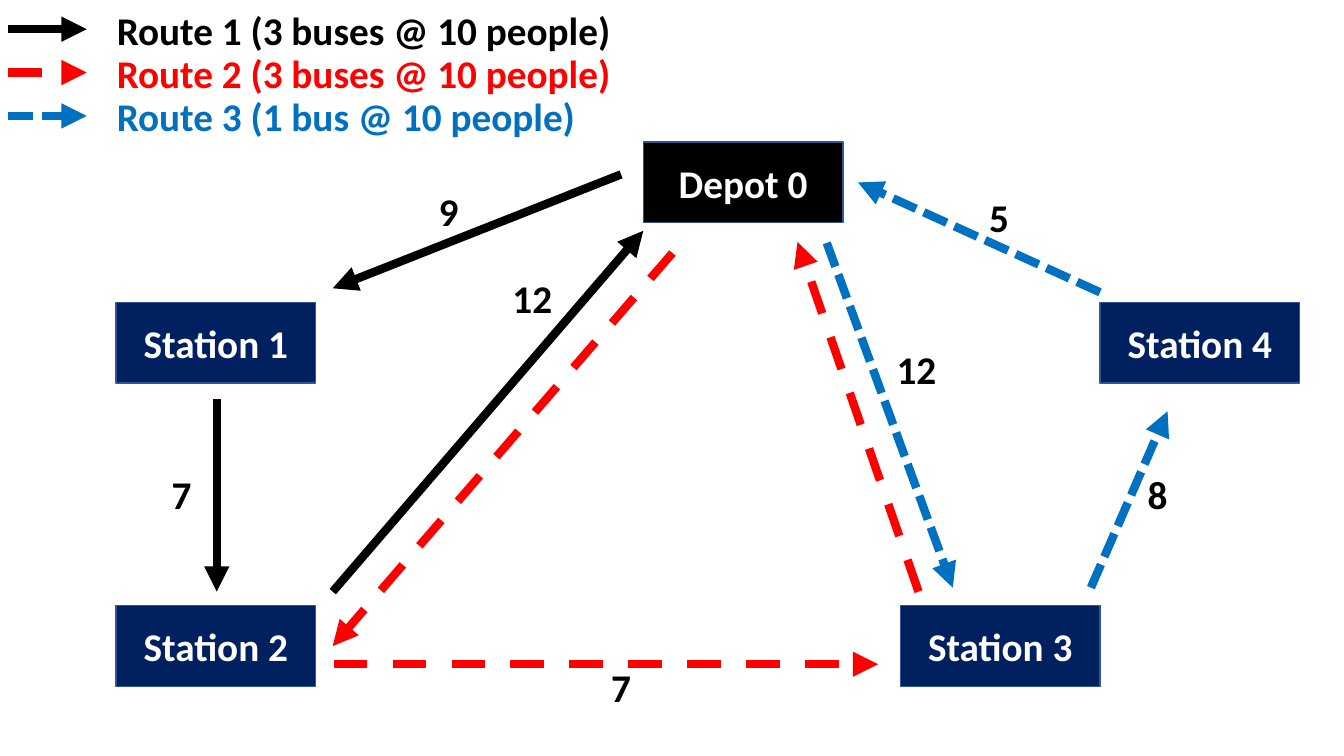
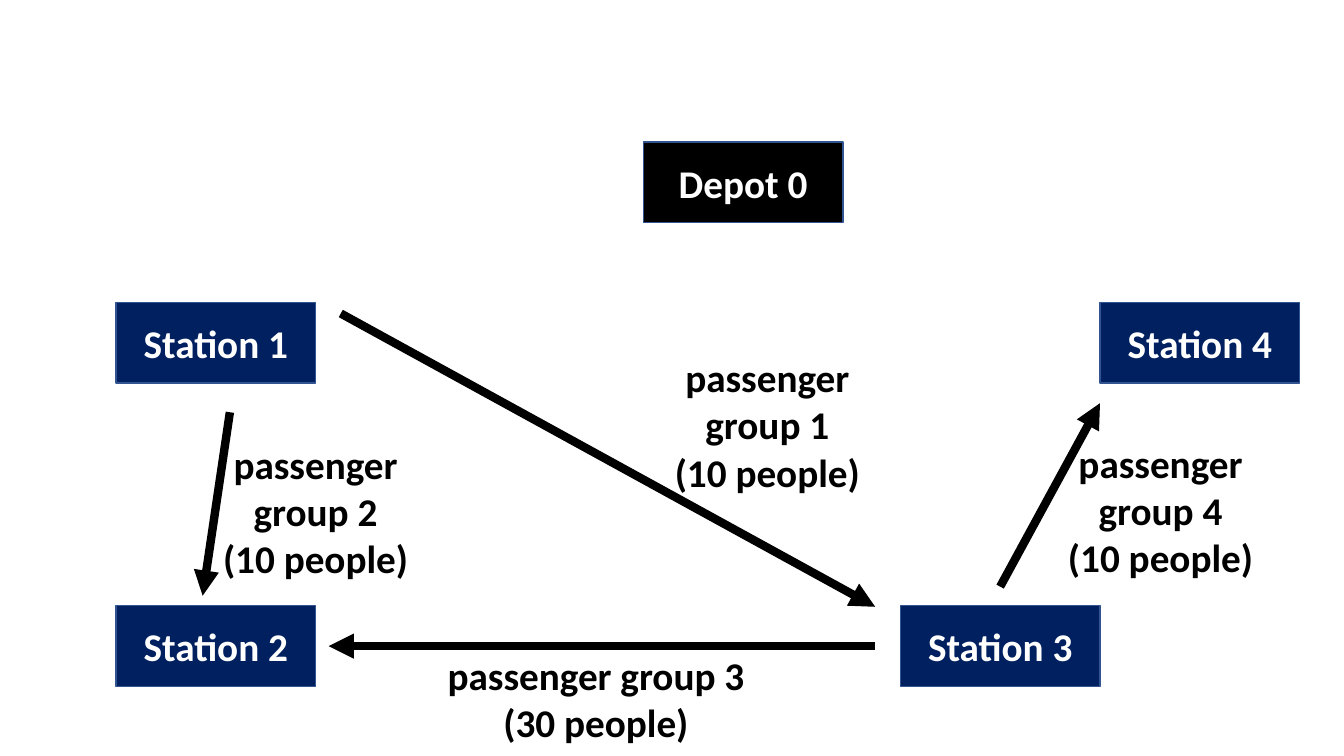
import dataclasses

import lxml.etree
import pptx
import pptx.dml.color
import pptx.enum.dml
import pptx.enum.shapes
import pptx.enum.text
import pptx.oxml.ns
import pptx.util

Inches = pptx.util.Inches
DASH = pptx.enum.dml.MSO_LINE
ALIGN = pptx.enum.text.PP_ALIGN
ANCHOR = pptx.enum.text.MSO_ANCHOR
AUTO_SIZE = pptx.enum.text.MSO_AUTO_SIZE


@dataclasses.dataclass(frozen=True)
class Theme:
    black: str = "000000"
    white: str = "FFFFFF"
    navy: str = "002060"
    red: str = "FF0000"
    blue: str = "0070C0"
    outline: str = "325491"
    font: str = "Calibri"
    text_size: float = 28
    route_width: float = 6
    outline_width: float = 1


THEME = Theme()

STOP_SIZE = (1.98, 0.8)
STOPS = [
    ("Station 1", 1.15, 3, THEME.navy),
    ("Station 2", 1.15, 6.01, THEME.navy),
    ("Depot 0", 6.38, 1.41, THEME.black),
    ("Station 4", 10.91, 3, THEME.navy),
    ("Station 3", 8.93, 6.01, THEME.navy),
]

LEGEND_PITCH = 0.43
ROUTES = [
    {
        "title": "Route 1 (3 buses @ 10 people)",
        "color": THEME.black,
        "dash": None,
        "legs": [
            ((6.16, 1.73), (3.3, 2.86)),
            ((2.15, 3.96), (2.15, 5.87)),
            ((3.3, 5.87), (6.38, 2.29)),
        ],
    },
    {
        "title": "Route 2 (3 buses @ 10 people)",
        "color": THEME.red,
        "dash": DASH.DASH,
        "legs": [
            ((6.67, 2.51), (3.3, 6.41)),
            ((3.31, 6.59), (8.71, 6.59)),
            ((9.11, 5.87), (7.91, 2.4)),
        ],
    },
    {
        "title": "Route 3 (1 bus @ 10 people)",
        "color": THEME.blue,
        "dash": DASH.SQUARE_DOT,
        "legs": [
            ((8.2, 2.41), (9.45, 5.83)),
            ((10.82, 5.83), (11.58, 4.08)),
            ((10.91, 2.9), (8.51, 1.81)),
        ],
    },
]

DISTANCES = [
    ("9", 4.25, 1.81),
    ("7", 1.6, 4.62),
    ("12", 4.98, 2.67),
    ("7", 5.96, 6.53),
    ("12", 8.79, 3.38),
    ("8", 11.28, 4.62),
    ("5", 9.71, 1.87),
]

PASSENGER_GROUPS = [
    (1, 10, (6.42, 3.46, 2.38, 1.51), ((3.38, 3.11), (8.68, 6.02))),
    (2, 10, (1.86, 4.32, 2.54, 1.51), ((2.28, 4.09), (2.01, 5.91))),
    (3, 30, (4.25, 6.41, 3.32, 1.04), ((8.68, 6.41), (3.26, 6.41))),
    (4, 10, (10.32, 4.31, 2.38, 1.51), ((9.92, 5.82), (10.91, 4))),
]


def rgb(color):
    return pptx.dml.color.RGBColor.from_string(color)


def apply_format(target, values):
    for attribute, value in values.items():
        setattr(target, attribute, value)


def write_text(frame, lines, color, align):
    frame.text = "\n".join(lines)
    for paragraph in frame.paragraphs:
        paragraph.alignment = align
        for run in paragraph.runs:
            apply_format(run.font, {
                "name": THEME.font,
                "size": pptx.util.Pt(THEME.text_size),
                "bold": True,
            })
            run.font.color.rgb = rgb(color)


def add_label(slide, lines, box, color=THEME.black, align=ALIGN.CENTER, wrap=False):
    frame = slide.shapes.add_textbox(*map(Inches, box)).text_frame
    apply_format(frame, {"word_wrap": wrap, "auto_size": AUTO_SIZE.SHAPE_TO_FIT_TEXT})
    write_text(frame, lines, color, align)


def add_stop(slide, name, left, top, fill):
    stop = slide.shapes.add_shape(
        pptx.enum.shapes.MSO_SHAPE.RECTANGLE, *map(Inches, (left, top, *STOP_SIZE))
    )
    stop.shadow.inherit = False
    stop.fill.solid()
    stop.fill.fore_color.rgb = rgb(fill)
    stop.line.color.rgb = rgb(THEME.outline)
    stop.line.width = pptx.util.Pt(THEME.outline_width)
    stop.text_frame.vertical_anchor = ANCHOR.MIDDLE
    write_text(stop.text_frame, [name], THEME.white, ALIGN.CENTER)


def add_arrow(slide, start, end, color=THEME.black, dash=None):
    arrow = slide.shapes.add_connector(
        pptx.enum.shapes.MSO_CONNECTOR.STRAIGHT, *map(Inches, (*start, *end))
    )
    arrow.line.color.rgb = rgb(color)
    apply_format(arrow.line, {
        "width": pptx.util.Pt(THEME.route_width),
        "dash_style": dash,
    })
    properties = arrow.element.spPr
    outline = properties.find(pptx.oxml.ns.qn("a:ln"))
    lxml.etree.SubElement(outline, pptx.oxml.ns.qn("a:tailEnd"), type="triangle")
    lxml.etree.SubElement(properties, pptx.oxml.ns.qn("a:effectLst"))


def add_legend(slide):
    for row, route in enumerate(ROUTES):
        offset = row * LEGEND_PITCH
        y = 0.29 + offset
        add_arrow(slide, (0.08, y), (0.86, y), route["color"], route["dash"])
        add_label(slide, [route["title"]], (1.06, 0.01 + offset, 5.15, 0.57),
                  route["color"], ALIGN.LEFT)


def add_network_slide(presentation):
    slide = presentation.slides.add_slide(presentation.slide_layouts[6])
    for stop in STOPS:
        add_stop(slide, *stop)
    return slide


def build_routes(presentation):
    slide = add_network_slide(presentation)
    add_legend(slide)
    for route in ROUTES:
        for start, end in route["legs"]:
            add_arrow(slide, start, end, route["color"], route["dash"])
    for distance, left, top in DISTANCES:
        add_label(slide, [distance], (left, top, 0.2 + 0.2 * len(distance), 0.57))


def build_passenger_groups(presentation):
    slide = add_network_slide(presentation)
    for number, people, box, (start, end) in PASSENGER_GROUPS:
        add_arrow(slide, start, end)
        add_label(slide, [f"passenger group {number}", f"({people} people)"], box, wrap=True)


def main():
    presentation = pptx.Presentation()
    apply_format(presentation, {"slide_width": Inches(13.33), "slide_height": Inches(7.5)})
    build_routes(presentation)
    build_passenger_groups(presentation)
    presentation.save("out.pptx")


if __name__ == "__main__":
    main()
